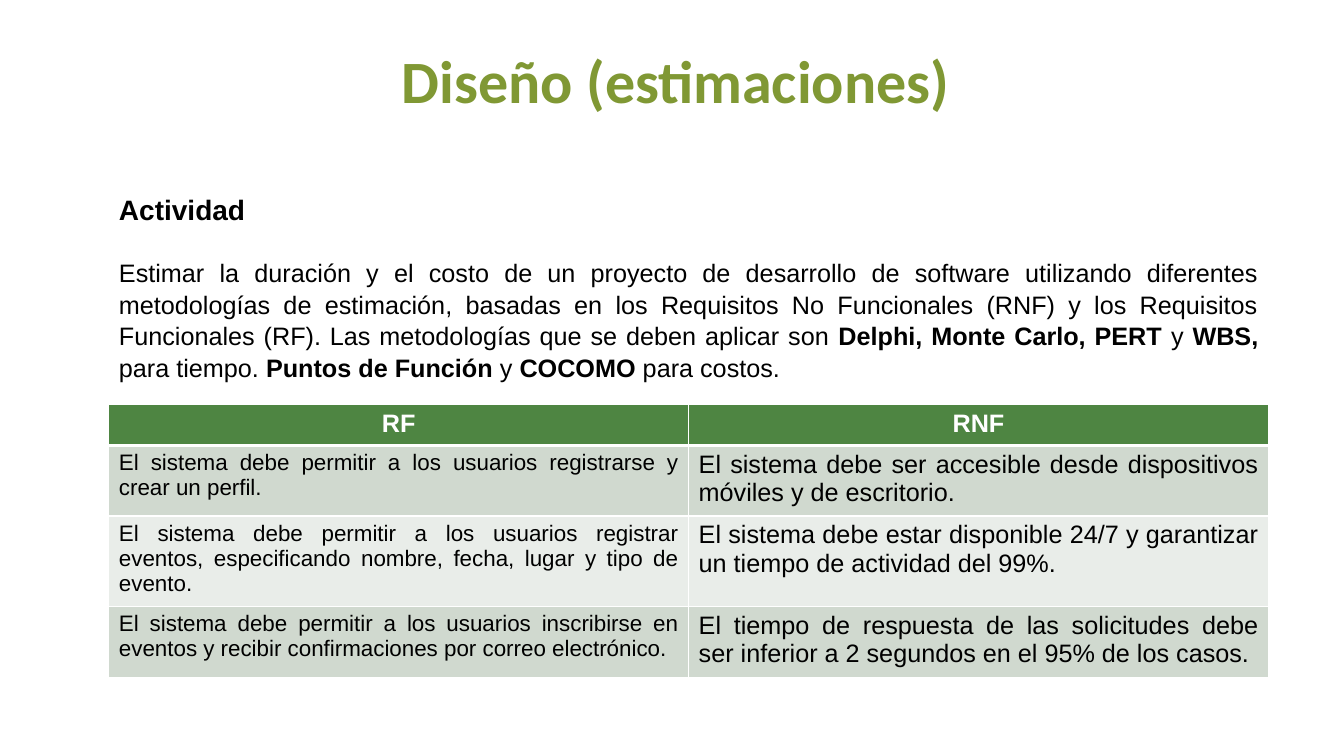
"""Builds the slide on estimating a project's duration and cost."""
import dataclasses

import lxml.etree
import pptx
import pptx.dml.color
import pptx.enum.text
import pptx.oxml.ns
import pptx.util

Inches = pptx.util.Inches
Pt = pptx.util.Pt
Align = pptx.enum.text.PP_ALIGN


@dataclasses.dataclass(frozen=True)
class Theme:
    title_font: str = "Calibri"
    text_font: str = "Arial"
    title_color: str = "809834"
    black: str = "000000"
    white: str = "FFFFFF"
    header_fill: str = "4E8542"
    row_fills: tuple = ("D0D9CF", "E9EDE9")
    title_size: float = 42.9
    heading_size: int = 20
    text_size: int = 18
    small_size: int = 16


class EstimationSlide:
    def __init__(self, deck, theme):
        self.theme = theme
        self.page = deck.slides.add_slide(deck.slide_layouts[1])

    def style(self, para, size, color, bold=False, align=Align.JUSTIFY, name=None):
        para.alignment = align
        para.font.name = name or self.theme.text_font
        para.font.size = Pt(size)
        para.font.bold = bold
        para.font.color.rgb = pptx.dml.color.RGBColor.from_string(color)

    def place(self, box, left, top, width, height):
        box.left, box.top = Inches(left), Inches(top)
        box.width, box.height = Inches(width), Inches(height)
        frame = box.text_frame
        frame.word_wrap = True
        frame.auto_size = pptx.enum.text.MSO_AUTO_SIZE.NONE
        frame.vertical_anchor = pptx.enum.text.MSO_ANCHOR.TOP
        return frame

    def title(self, text):
        frame = self.place(self.page.shapes.title, 2.2, 0.38, 9, 1.25)
        para = frame.paragraphs[0]
        para.text = text
        self.style(para, self.theme.title_size, self.theme.title_color, True,
                   Align.CENTER, self.theme.title_font)

    def body(self, heading, spans):
        frame = self.place(self.page.placeholders[1], 1.08, 1.85, 11.5, 1.95)
        first, second = frame.paragraphs[0], frame.add_paragraph()
        first.text = heading
        for text, bold in spans:
            span = second.add_run()
            span.text = text
            if bold:
                span.font.bold = True
        for para, size in ((first, self.theme.heading_size), (second, self.theme.text_size)):
            properties = para._p.get_or_add_pPr()
            properties.set("marL", "0")
            properties.set("indent", "0")
            para.space_before = Pt(0)
            para.line_spacing = 1.04
            lxml.etree.SubElement(properties, pptx.oxml.ns.qn("a:buNone"))
            self.style(para, size, self.theme.black, bold=para is first)
        first.space_after = Pt(21.5)

    def borders(self, cell, top, bottom):
        properties = cell._tc.get_or_add_tcPr()
        widths = {"lnL": 1, "lnR": 1, "lnT": top, "lnB": bottom}
        for index, (side, width) in enumerate(widths.items()):
            line = lxml.etree.Element(pptx.oxml.ns.qn(f"a:{side}"), w=str(Pt(width)))
            fill = lxml.etree.SubElement(line, pptx.oxml.ns.qn("a:solidFill"))
            lxml.etree.SubElement(fill, pptx.oxml.ns.qn("a:srgbClr"), val=self.theme.white)
            properties.insert(index, line)

    def table(self, rows, heights):
        theme = self.theme
        grid = self.page.shapes.add_table(
            len(rows), 2, Inches(1.08), Inches(4.01), Inches(11.5), Inches(sum(heights))).table
        for r, (texts, height) in enumerate(zip(rows, heights)):
            grid.rows[r].height = Inches(height)
            header = r == 0
            fill = theme.header_fill if header else theme.row_fills[(r - 1) % 2]
            for c, text in enumerate(texts):
                cell = grid.cell(r, c)
                cell.text = text
                cell.fill.solid()
                cell.fill.fore_color.rgb = pptx.dml.color.RGBColor.from_string(fill)
                self.borders(cell, 3 if r == 1 else 1, 3 if header else 1)
                para = cell.text_frame.paragraphs[0]
                if header:
                    self.style(para, theme.text_size, theme.white, True, Align.CENTER)
                else:
                    self.style(para, (theme.small_size, theme.text_size)[c], theme.black)


def main():
    deck = pptx.Presentation()
    deck.slide_width, deck.slide_height = Inches(13.33), Inches(7.5)
    slide = EstimationSlide(deck, Theme())
    slide.title("Diseño (estimaciones)")
    slide.body("Actividad", [
        ("Estimar la duración y el costo de un proyecto de desarrollo de software utilizando "
         "diferentes metodologías de estimación, basadas en los Requisitos No Funcionales (RNF) "
         "y los Requisitos Funcionales (RF). Las metodologías que se deben aplicar son ", False),
        ("Delphi, Monte Carlo, PERT ", True),
        ("y ", False),
        ("WBS, ", True),
        ("para tiempo. ", False),
        ("Puntos de Función ", True),
        ("y ", False),
        ("COCOMO ", True),
        ("para costos.", False),
    ])
    slide.table([
        ("RF", "RNF"),
        ("El sistema debe permitir a los usuarios registrarse y crear un perfil.",
         "El sistema debe ser accesible desde dispositivos móviles y de escritorio."),
        ("El sistema debe permitir a los usuarios registrar eventos, especificando nombre, "
         "fecha, lugar y tipo de evento.",
         "El sistema debe estar disponible 24/7 y garantizar un tiempo de actividad del 99%."),
        ("El sistema debe permitir a los usuarios inscribirse en eventos y recibir "
         "confirmaciones por correo electrónico.",
         "El tiempo de respuesta de las solicitudes debe ser inferior a 2 segundos en el 95% "
         "de los casos."),
    ], (0.41, 0.7, 0.9, 0.7))
    deck.save("out.pptx")


if __name__ == "__main__":
    main()
